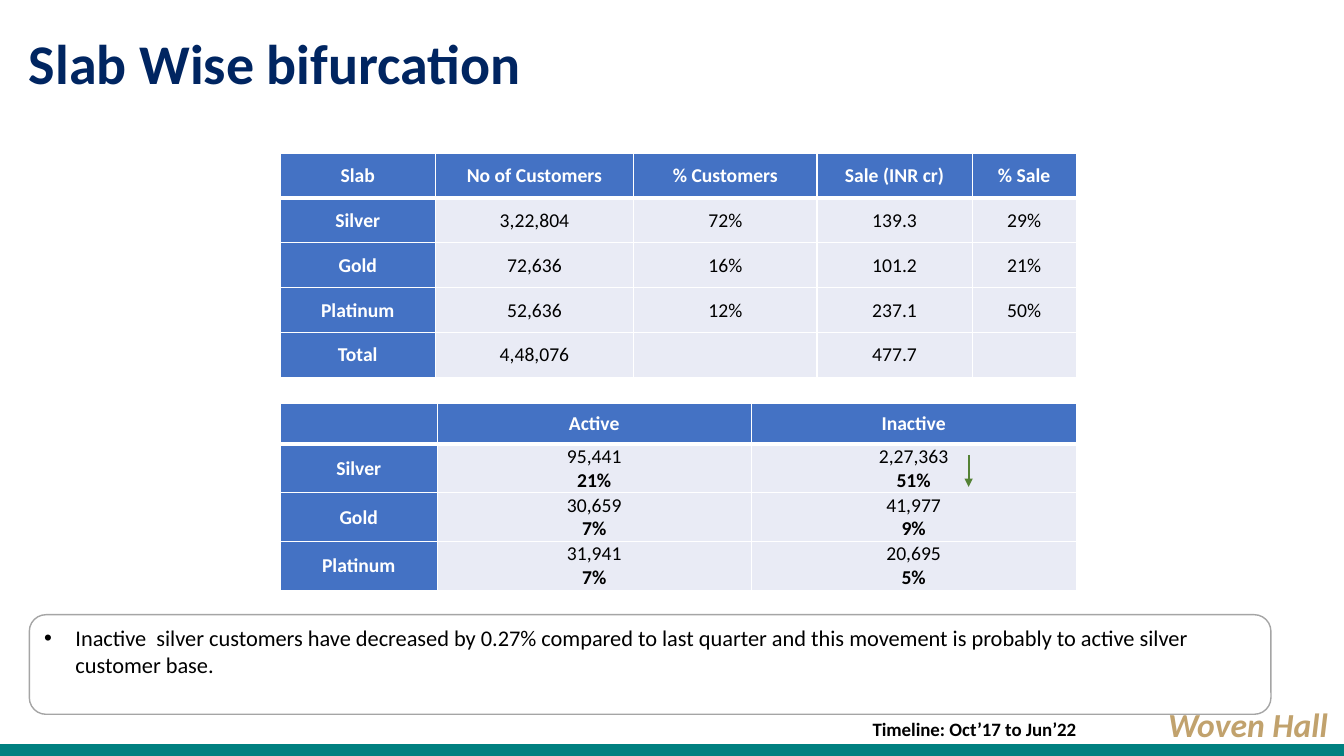
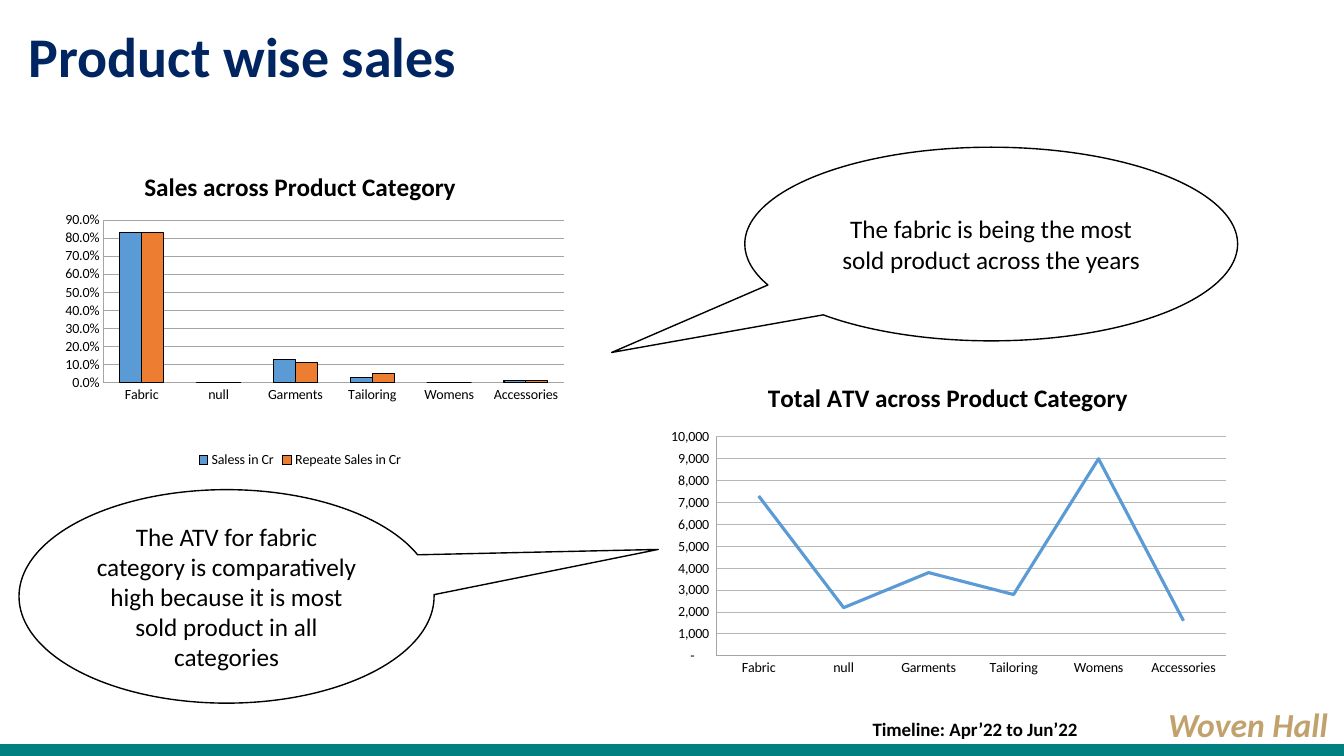
from lxml.etree import SubElement
from pptx import Presentation
from pptx.chart.data import CategoryChartData
from pptx.dml.color import RGBColor
from pptx.enum.chart import XL_CHART_TYPE, XL_LEGEND_POSITION, XL_TICK_MARK
from pptx.enum.shapes import MSO_CONNECTOR, MSO_SHAPE
from pptx.enum.text import MSO_ANCHOR, PP_ALIGN
from pptx.oxml import parse_xml
from pptx.oxml.ns import nsdecls, qn
from pptx.util import Cm, Pt

# Shared style
FONT = "Calibri"
NAVY = RGBColor(0x00, 0x25, 0x61)
TEAL = RGBColor(0x00, 0x80, 0x80)
GOLD = RGBColor(0xC1, 0xA2, 0x6D)
BLACK = RGBColor(0x00, 0x00, 0x00)
WHITE = RGBColor(0xFF, 0xFF, 0xFF)
GREY = RGBColor(0xA5, 0xA5, 0xA5)
LIGHT_GREY = RGBColor(0xB7, 0xB7, 0xB7)
GREEN = RGBColor(0x54, 0x82, 0x35)
TABLE_BLUE = RGBColor(0x44, 0x72, 0xC4)
TABLE_PALE = RGBColor(0xE9, 0xEB, 0xF5)
CHART_BLUE = RGBColor(0x5B, 0x9B, 0xD5)
CHART_ORANGE = RGBColor(0xED, 0x7D, 0x31)

SLIDE_WIDTH, SLIDE_HEIGHT = 33.87, 19.05
BAND_HEIGHT = 0.3
BRAND_NAME = "Woven Hall"
CATEGORIES = ["Fabric", "null", "Garments", "Tailoring", "Womens", "Accessories"]


def lengths(box):
    return [Cm(value) for value in box]


def format_runs(paragraph, size, color=BLACK, bold=False, italic=False):
    for run in paragraph.runs:
        font = run.font
        font.name, font.size = FONT, Pt(size)
        font.bold, font.italic = bold, italic
        font.color.rgb = color


def add_text(slide, box, text, size, color=BLACK, bold=True, italic=False,
             alignment=PP_ALIGN.LEFT, anchor=MSO_ANCHOR.MIDDLE):
    frame = slide.shapes.add_textbox(*lengths(box)).text_frame
    frame.word_wrap = True
    frame.vertical_anchor = anchor
    frame.text = text
    paragraph = frame.paragraphs[0]
    paragraph.alignment = alignment
    format_runs(paragraph, size, color, bold, italic)
    return paragraph


def add_outlined_shape(slide, kind, box, text, size, line_color, alignment, anchor):
    shape = slide.shapes.add_shape(kind, *lengths(box))
    shape.shadow.inherit = False
    shape.fill.solid()
    shape.fill.fore_color.rgb = WHITE
    shape.line.color.rgb = line_color
    shape.line.width = Pt(1)
    frame = shape.text_frame
    frame.word_wrap = True
    frame.vertical_anchor = anchor
    frame.text = text
    frame.paragraphs[0].alignment = alignment
    format_runs(frame.paragraphs[0], size)
    return shape


def add_page(presentation, title, title_box, timeline):
    """Add a slide with its title, band, timeline and brand name."""
    slide = presentation.slides.add_slide(presentation.slide_layouts[6])
    band = slide.shapes.add_shape(MSO_SHAPE.RECTANGLE, *lengths(
        (0, SLIDE_HEIGHT - BAND_HEIGHT, SLIDE_WIDTH, BAND_HEIGHT)))
    band.shadow.inherit = False
    band.fill.solid()
    band.fill.fore_color.rgb = TEAL
    band.line.fill.background()
    add_text(slide, title_box, title, 40, NAVY).line_spacing = 0.9
    add_text(slide, (21.74, 17.97, 8.7, 0.84), timeline, 13.5, anchor=MSO_ANCHOR.TOP)
    add_text(slide, (29.03, 17.73, 4.84, 1.02), BRAND_NAME, 24, GOLD,
             italic=True, alignment=PP_ALIGN.CENTER)
    return slide


# Tables
def set_borders(cell, row_index):
    properties = cell._tc.get_or_add_tcPr()
    thick_side = {0: "B", 1: "T"}.get(row_index)
    for side in "LRTB":
        width = Pt(3 if side == thick_side else 1)
        properties.append(parse_xml(
            f'<a:ln{side} {nsdecls("a")} w="{width}"><a:solidFill>'
            f'<a:srgbClr val="{WHITE}"/></a:solidFill></a:ln{side}>'))


def fill_cell(cell, text, row_index, is_heading):
    set_borders(cell, row_index)
    cell.fill.solid()
    cell.fill.fore_color.rgb = TABLE_BLUE if is_heading else TABLE_PALE
    cell.margin_left = cell.margin_right = cell.margin_top = Cm(0.02)
    cell.margin_bottom = 0
    cell.vertical_anchor = MSO_ANCHOR.MIDDLE
    cell.text_frame.text = text
    for index, paragraph in enumerate(cell.text_frame.paragraphs):
        paragraph.alignment = PP_ALIGN.CENTER
        format_runs(paragraph, 14, WHITE if is_heading else BLACK,
                    bold=is_heading or index > 0)


def add_slab_table(slide, left, top, column_widths, header_height, row_height, rows):
    heights = [header_height] + [row_height] * (len(rows) - 1)
    box = (left, top, sum(column_widths), sum(heights))
    table = slide.shapes.add_table(
        len(rows), len(column_widths), *lengths(box)).table
    table.horz_banding = False
    for column, width in zip(table.columns, column_widths):
        column.width = Cm(width)
    for row_index, (height, texts) in enumerate(zip(heights, rows)):
        table.rows[row_index].height = Cm(height)
        for column_index, text in enumerate(texts):
            fill_cell(table.cell(row_index, column_index), text, row_index,
                      row_index == 0 or column_index == 0)


def add_down_arrow(slide, left, top, length):
    arrow = slide.shapes.add_connector(
        MSO_CONNECTOR.STRAIGHT, *lengths((left, top, left, top + length)))
    arrow.line.color.rgb = GREEN
    arrow.line.width = Pt(1.5)
    SubElement(arrow.line._get_or_add_ln(), qn("a:tailEnd"), type="triangle")
    SubElement(arrow._element.spPr, qn("a:effectLst"))


def add_comment_box(slide, box, text):
    shape = add_outlined_shape(slide, MSO_SHAPE.ROUNDED_RECTANGLE, box, text, 16,
                               GREY, PP_ALIGN.LEFT, MSO_ANCHOR.TOP)
    properties = shape.text_frame.paragraphs[0]._p.get_or_add_pPr()
    properties.set("marL", str(Cm(0.79)))
    properties.set("indent", str(-Cm(0.79)))
    SubElement(properties, qn("a:buFont"), typeface="Arial")
    SubElement(properties, qn("a:buChar"), char="•")


# Charts and callouts
def add_callout(slide, box, pointer, text):
    shape = add_outlined_shape(slide, MSO_SHAPE.OVAL_CALLOUT, box, text, 18,
                               BLACK, PP_ALIGN.CENTER, MSO_ANCHOR.MIDDLE)
    shape.adjustments[0], shape.adjustments[1] = pointer


def set_plot_area(chart, plot_box):
    plot_area = chart._chartSpace.chart.plotArea
    for old_layout in plot_area.findall(qn("c:layout")):
        plot_area.remove(old_layout)
    layout = parse_xml(f'<c:layout {nsdecls("c")}><c:manualLayout/></c:layout>')
    settings = [("layoutTarget", "inner"), ("xMode", "edge"), ("yMode", "edge")]
    settings += zip("xywh", plot_box)
    for name, value in settings:
        SubElement(layout[0], qn(f"c:{name}"), val=str(value))
    plot_area.insert(0, layout)


def add_category_chart(slide, kind, box, plot_box, title, series, number_format,
                       maximum, step, grid_color, grid_width):
    data = CategoryChartData()
    data.categories = CATEGORIES
    for name, values in series:
        data.add_series(name, values)
    chart = slide.shapes.add_chart(kind, *lengths(box), data).chart
    chart.font.name, chart.font.size = FONT, Pt(10)
    chart.font.color.rgb = BLACK
    chart.has_legend = False
    chart.has_title = True
    chart.chart_title.text_frame.text = title
    format_runs(chart.chart_title.text_frame.paragraphs[0], 18, bold=True)
    set_plot_area(chart, plot_box)
    for axis in (chart.category_axis, chart.value_axis):
        axis.major_tick_mark = axis.minor_tick_mark = XL_TICK_MARK.NONE
        axis.format.line.color.rgb = GREY
    axis = chart.value_axis
    axis.minimum_scale, axis.maximum_scale, axis.major_unit = 0, maximum, step
    axis.tick_labels.number_format = number_format
    axis.tick_labels.number_format_is_linked = False
    axis.has_major_gridlines = True
    axis.major_gridlines.format.line.color.rgb = grid_color
    axis.major_gridlines.format.line.width = Pt(grid_width)
    chart.plots[0].vary_by_categories = False
    return chart


def add_sales_chart(slide, box):
    chart = add_category_chart(
        slide, XL_CHART_TYPE.COLUMN_CLUSTERED, box, (0.15, 0.21, 0.82, 0.51),
        "Sales across Product Category",
        [("Saless in Cr", (0.83, 0, 0.13, 0.03, 0, 0.01)),
         ("Repeate Sales in Cr", (0.83, 0, 0.11, 0.05, 0, 0.01))],
        "0.0%", 0.9, 0.1, GREY, 0.5)
    chart.has_legend = True
    chart.legend.position = XL_LEGEND_POSITION.BOTTOM
    chart.legend.include_in_layout = False
    plot = chart.plots[0]
    plot.gap_width, plot.overlap = 150, 0
    for series, color in zip(plot.series, (CHART_BLUE, CHART_ORANGE)):
        series.format.fill.solid()
        series.format.fill.fore_color.rgb = color
        series.format.line.color.rgb = BLACK
        series.format.line.width = Pt(0.75)


def add_transaction_value_chart(slide, box):
    chart = add_category_chart(
        slide, XL_CHART_TYPE.LINE, box, (0.1, 0.23, 0.88, 0.69),
        "Total ATV across Product Category",
        [("Series 1", (7300, 2200, 3800, 2800, 9000, 1600))],
        '_(* #,##0_);_(* \\(#,##0\\);_(* "-"??_);_(@_)',
        10000, 1000, LIGHT_GREY, 0.75)
    series = chart.plots[0].series[0]
    series.smooth = False
    series.format.line.color.rgb = CHART_BLUE
    series.format.line.width = Pt(2.25)


# Slides
def add_slab_slide(presentation):
    slide = add_page(presentation, "Slab Wise bifurcation", (0.48, 0, 20.83, 3.33),
                     "Timeline: Oct’17 to Jun’22")
    add_slab_table(slide, 7.06, 3.86, (3.91, 5, 4.62, 3.91, 2.62), 1.13, 1.13, [
        ("Slab", "No of Customers", "% Customers", "Sale (INR cr)", "% Sale"),
        ("Silver", "3,22,804", "72%", "139.3", "29%"),
        ("Gold", "72,636", "16%", "101.2", "21%"),
        ("Platinum", "52,636", "12%", "237.1", "50%"),
        ("Total", "4,48,076", "", "477.7", ""),
    ])
    add_slab_table(slide, 7.06, 10.16, (3.96, 7.91, 8.19), 1.02, 1.23, [
        ("", "Active", "Inactive"),
        ("Silver", "95,441\n21%", "2,27,363\n51%"),
        ("Gold", "30,659\n7%", "41,977\n9%"),
        ("Platinum", "31,941\n7%", "20,695\n5%"),
    ])
    add_down_arrow(slide, 24.41, 11.46, 0.81)
    add_comment_box(slide, (0.74, 15.49, 31.29, 2.51),
                    "Inactive  silver customers have decreased by 0.27% compared to "
                    "last quarter and this movement is probably to active silver "
                    "customer base.")


def add_product_slide(presentation):
    slide = add_page(presentation, "Product wise sales", (0.48, 0.03, 29.64, 2.95),
                     "Timeline: Apr’22 to Jun’22")
    add_callout(slide, (18.77, 3.71, 12.42, 4.88), (-0.77, 0.56),
                "The fabric is being the most sold product across the years")
    add_callout(slide, (0.48, 12.34, 10.46, 5.38), (1.04, -0.22),
                "The ATV for fabric category is comparatively high because it is "
                "most sold product in all categories")
    add_sales_chart(slide, (0.48, 3.86, 14.17, 8.03))
    add_transaction_value_chart(slide, (16.59, 9.17, 14.6, 8))


def main():
    presentation = Presentation()
    presentation.slide_width = Cm(SLIDE_WIDTH)
    presentation.slide_height = Cm(SLIDE_HEIGHT)
    add_slab_slide(presentation)
    add_product_slide(presentation)
    presentation.save("out.pptx")


if __name__ == "__main__":
    main()
